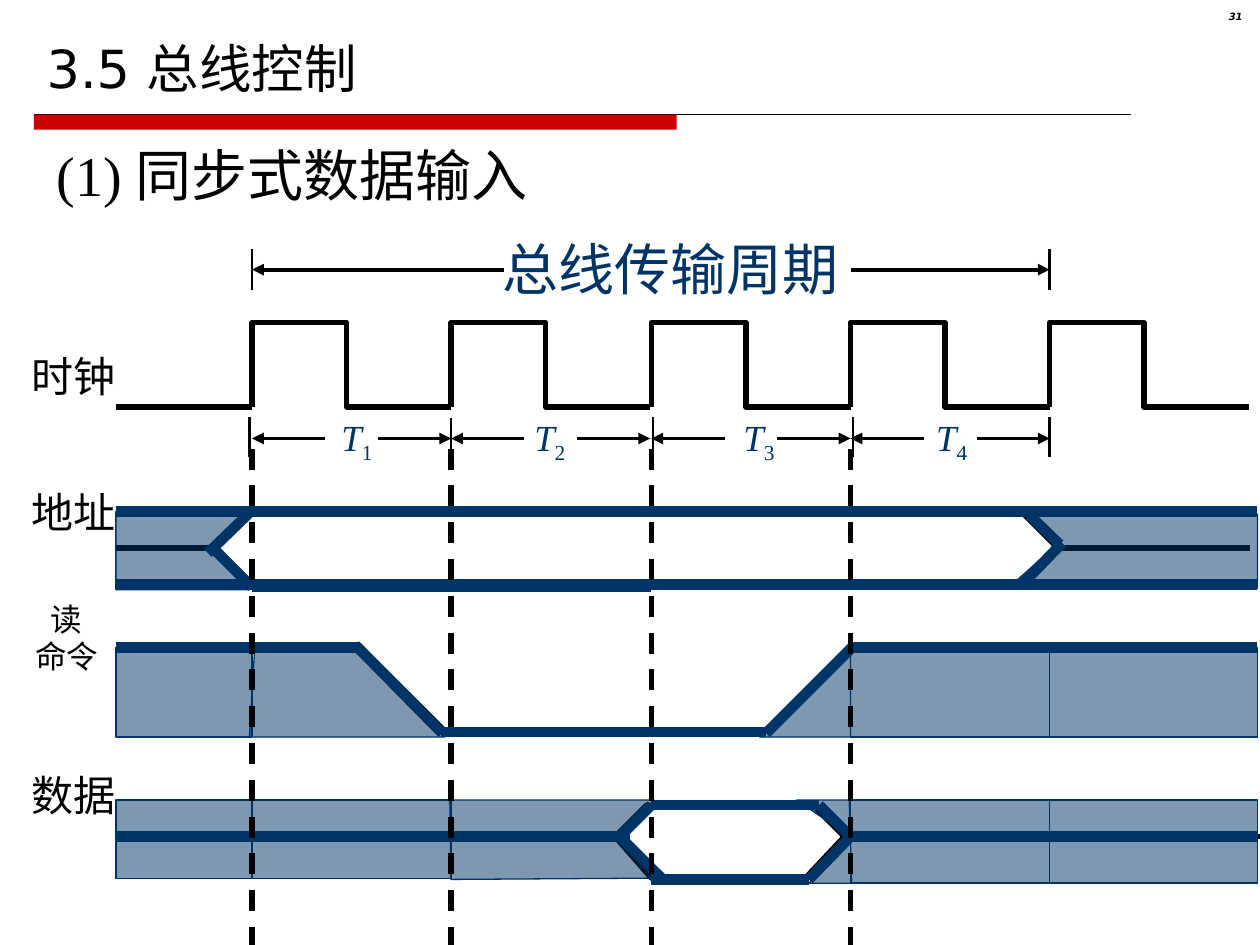
"""Build the timing diagram slide for synchronous data input on a bus."""
from pptx import Presentation
from pptx.dml.color import RGBColor
from pptx.enum.dml import MSO_LINE
from pptx.enum.shapes import MSO_CONNECTOR, MSO_SHAPE
from pptx.enum.text import MSO_ANCHOR, MSO_AUTO_SIZE, PP_ALIGN
from pptx.oxml.ns import qn
from pptx.util import Cm, Pt
from lxml.etree import SubElement

BLACK, NAVY, RED = "000000", "003366", "CC0000"
SERIF, SANS, ROBOTO = "Times New Roman", "DejaVu Sans", "Roboto"

EDGES = [0.92, 2, 3.58, 5.17, 6.75, 8.33, 9.98]
COLUMNS = list(zip(EDGES, EDGES[1:]))
CYCLES = EDGES[1:5]
CYCLE = 1.58
ADDRESS_TOP, ADDRESS_MIDDLE, ADDRESS_BOTTOM = 4.06, 4.35, 4.64
COMMAND_HIGH, COMMAND_LOW = 5.14, 5.81
DATA_TOP, DATA_MIDDLE, DATA_BOTTOM = 6.39, 6.64, 6.98

SIGNAL_LABELS = [("时钟", 2.73), ("地址", 3.81), ("数据", 6.06)]
CYCLE_LABELS = [("1", 2.71), ("2", 4.24), ("3", 5.9), ("4", 7.43)]
TICKS = [(2, 1.98), (8.33, 1.98), (1.98, 3.31), (3.58, 3.32),
         (5.18, 3.31), (6.77, 3.31), (8.33, 3.31)]
PERIOD_ARROWS = [(4, 2), (6.75, 8.33)]

BLACK_LINES = [
    (2, 3.23, 0.92, 3.23),
    (0.92, 5.12, 2.86, 5.12), (3.54, COMMAND_LOW, 2.85, 5.12),
    (6.78, 5.11, 6.1, 5.79), (3.53, 5.79, 6.11, 5.79), (6.78, 5.12, 9.95, 5.12),
    (1.75, ADDRESS_MIDDLE, 0.92, ADDRESS_MIDDLE),
    (8.42, ADDRESS_MIDDLE, 9.92, ADDRESS_MIDDLE),
    (0.92, DATA_MIDDLE, 4.88, DATA_MIDDLE), (6.7, DATA_MIDDLE, 10, DATA_MIDDLE),
]
ADDRESS_VALID = [(1.99, 4.06), (1.7, 4.35), (2, 4.65), (8.1, 4.65),
                 (8.4, 4.36), (8.1, 4.06)]
DATA_VALID = [(4.88, 6.64), (5.13, 6.39), (6.45, 6.39), (6.7, 6.64),
              (6.39, 6.97), (5.17, 6.97)]

SHADED_OUTLINES = [
    [(1.7, 4.4), (1.93, 4.06), (0.92, 4.06), (0.92, 4.68), (1.98, 4.68)],
    [(1.98, 5.85), (3.53, 5.85), (2.85, 5.15), (2.02, 5.17)],
    [(3.57, 6.35), (5.19, 6.35), (4.92, 6.64), (5.19, 6.97), (3.58, 6.98)],
    [(6.03, 5.85), (6.75, 5.85), (6.75, 5.1)],
    [(6.75, 6.64), (6.32, 6.35), (6.74, 6.35), (6.76, 7.01), (6.42, 7.01)],
    [(8.15, 4.06), (9.98, 4.08), (9.98, 4.67), (8, 4.67), (8.4, 4.31)],
]
SHADED_COLUMNS = [
    (COMMAND_HIGH, 0.71, (0, 4, 5)), (6.35, 0.62, (0, 1)), (6.35, 0.66, (4, 5)),
]
LEVELS = [
    (ADDRESS_TOP, COLUMNS), (ADDRESS_BOTTOM, COLUMNS),
    (COMMAND_HIGH, [COLUMNS[0], (2, 2.83), COLUMNS[4], COLUMNS[5]]),
    (COMMAND_LOW, [(3.5, 5.21), (5.17, 6.08)]),
    (DATA_TOP, [(5.17, 6.08), (6.08, 6.5)]),
    (DATA_MIDDLE, [COLUMNS[0], COLUMNS[1], (3.58, 5), COLUMNS[4], COLUMNS[5]]),
    (DATA_BOTTOM, [(5.17, 6.08), (6, 6.42)]),
]
SLOPES = [
    (2, 4.66, 1.68, 4.34), (1.98, 4.07, 1.65, 4.39),
    (8.43, 4.31, 8.11, 4.64), (8.41, 4.32, 8.17, 4.09),
    (3.51, 5.82, 2.82, 5.12), (6.77, 5.13, 6.08, 5.82),
    (4.92, 6.64, 5.17, 6.39), (4.92, 6.64, 5.25, 6.97),
    (6.42, 6.98, 6.75, 6.64), (6.5, 6.39, 6.75, 6.64),
]


def inches(value):
    """Convert inches to a length."""
    return Cm(value * 2.54)


def paint(color_format, color):
    """Set a colour from a hex string."""
    color_format.rgb = RGBColor.from_string(color)


def style_text(paragraph, size, font, color):
    """Format every run of a paragraph."""
    for run in paragraph.runs:
        run.font.size = Pt(size)
        run.font.name = font
        paint(run.font.color, color)


def add_text(slide, box, text, size, font=SERIF, color=BLACK,
             margins=(0, 0.05), align=PP_ALIGN.LEFT, wrap=True):
    """Add a text box and return its text frame."""
    frame = slide.shapes.add_textbox(*map(inches, box)).text_frame
    frame.word_wrap = wrap
    frame.margin_left = frame.margin_right = inches(margins[0])
    frame.margin_top = frame.margin_bottom = inches(margins[1])
    frame.text = text
    for paragraph in frame.paragraphs:
        paragraph.alignment = align
        style_text(paragraph, size, font, color)
    return frame


def add_line(slide, ends, color, width, arrow=False, dashed=False):
    """Add a straight line, with an arrowhead at its end if asked."""
    connector = slide.shapes.add_connector(MSO_CONNECTOR.STRAIGHT, *map(inches, ends))
    paint(connector.line.color, color)
    connector.line.width = Pt(width)
    if dashed:
        connector.line.dash_style = MSO_LINE.DASH
    properties = connector._element.spPr
    if arrow:
        SubElement(properties.find(qn("a:ln")), qn("a:tailEnd"), type="triangle")
    SubElement(properties, qn("a:effectLst"))


def add_outline(slide, points, close=True):
    """Add a freeform through the given points."""
    corners = [(inches(x), inches(y)) for x, y in points]
    builder = slide.shapes.build_freeform(*corners[0])
    builder.add_line_segments(corners[1:], close=close)
    return builder.convert_to_shape()


def stroke(shape, width):
    """Give a shape a black line and no fill."""
    shape.shadow.inherit = False
    shape.fill.background()
    paint(shape.line.color, BLACK)
    shape.line.width = Pt(width)


def shade(shape):
    """Give a shape a half transparent navy fill and a thin navy line."""
    shape.shadow.inherit = False
    shape.fill.solid()
    paint(shape.fill.fore_color, NAVY)
    color = shape._element.spPr.find(qn("a:solidFill")).find(qn("a:srgbClr"))
    SubElement(color, qn("a:alpha"), val="50000")
    paint(shape.line.color, NAVY)
    shape.line.width = Pt(0.75)


def add_rectangle(slide, *box):
    """Add a rectangle."""
    return slide.shapes.add_shape(MSO_SHAPE.RECTANGLE, *map(inches, box))


def add_heading(slide):
    """Add the title, its rule, the page number and the subheading."""
    title = slide.shapes.title
    title.left, title.top, title.width, title.height = map(inches, (0.27, 0.13, 9.45, 0.71))
    frame = title.text_frame
    frame.text = "3.5 总线控制"
    frame.auto_size = MSO_AUTO_SIZE.NONE
    frame.vertical_anchor = MSO_ANCHOR.BOTTOM
    frame.paragraphs[0].alignment = PP_ALIGN.LEFT
    style_text(frame.paragraphs[0], 30, SANS, BLACK)
    add_line(slide, (0.27, 0.91, 8.98, 0.91), BLACK, 0.75)
    bar = add_rectangle(slide, 0.27, 0.91, 5.1, 0.12)
    bar.shadow.inherit = False
    bar.fill.solid()
    paint(bar.fill.fore_color, RED)
    bar.line.fill.background()
    number = add_text(slide, (9.37, 0.05, 0.59, 0.23), "31", 5.7, SANS,
                      margins=(0.1, 0.05), align=PP_ALIGN.RIGHT).paragraphs[0]
    number.line_spacing = 0.8
    number.runs[0].font.bold = number.runs[0].font.italic = True
    add_text(slide, (0.35, 1.07, 5.17, 0.64), "(1) 同步式数据输入", 32, margins=(0.1, 0.05))


def add_clock(slide):
    """Add the clock pulses, the cycle marks and their labels."""
    for left in EDGES[1:6]:
        stroke(add_outline(slide, [(left, 3.23), (left, 2.56), (left + 0.75, 2.56),
                                   (left + 0.75, 3.23), (left + CYCLE, 3.23)], False), 3)
    for x, top in TICKS:
        add_line(slide, (x, top, x, top + 0.32), BLACK, 1.25)
    for start, end in PERIOD_ARROWS:
        add_line(slide, (start, 2.14, end, 2.14), BLACK, 2.25, arrow=True)
    for left in CYCLES:
        for start, end in [(0.58, 0), (1, CYCLE)]:
            add_line(slide, (left + start, 3.48, left + end, 3.48), BLACK, 2.25, arrow=True)
    add_text(slide, (3.99, 1.86, 2.67, 0.53), "总线传输周期", 32, ROBOTO, NAVY, (0, 0), wrap=False)
    for index, left in CYCLE_LABELS:
        paragraph = add_text(slide, (left, 3.29, 0.25, 0.4), "T", 21, SERIF, NAVY,
                             (0, 0), wrap=False).paragraphs[0]
        paragraph.runs[0].font.italic = True
        subscript = paragraph.add_run()
        subscript.text = index
        style_text(paragraph, 21, SERIF, NAVY)
        subscript._r.get_or_add_rPr().set("baseline", "-25000")


def add_signals(slide):
    """Add the address, read command and data waveforms."""
    for ends in BLACK_LINES:
        add_line(slide, ends, BLACK, 3)
    stroke(add_outline(slide, ADDRESS_VALID), 2.5)
    stroke(add_outline(slide, DATA_VALID), 3)
    for points in SHADED_OUTLINES:
        shade(add_outline(slide, points))
    for top, height, columns in SHADED_COLUMNS:
        for left, right in (COLUMNS[column] for column in columns):
            shade(add_rectangle(slide, left, top, right - left, height))
    for y in (4.08, 4.68):
        for left, right in COLUMNS[1:3]:
            add_line(slide, (left, y, right, y), NAVY, 3)
    for y, spans in LEVELS:
        for left, right in spans:
            add_line(slide, (left, y, right, y), NAVY, 6)
    for ends in SLOPES:
        add_line(slide, ends, NAVY, 6)
    for x in CYCLES:
        add_line(slide, (x, 3.56, x, 7.5), BLACK, 3, dashed=True)
    for text, top in SIGNAL_LABELS:
        add_text(slide, (0.25, top, 0.92, 0.5), text, 24)
    add_text(slide, (0.18, 4.71, 0.7, 0.7), "读\n命令", 18, align=PP_ALIGN.CENTER)


def main():
    """Build and save the presentation."""
    presentation = Presentation()
    presentation.slide_width, presentation.slide_height = inches(10), inches(7.5)
    slide = presentation.slides.add_slide(presentation.slide_layouts[5])
    add_heading(slide)
    add_clock(slide)
    add_signals(slide)
    presentation.save("out.pptx")


if __name__ == "__main__":
    main()
